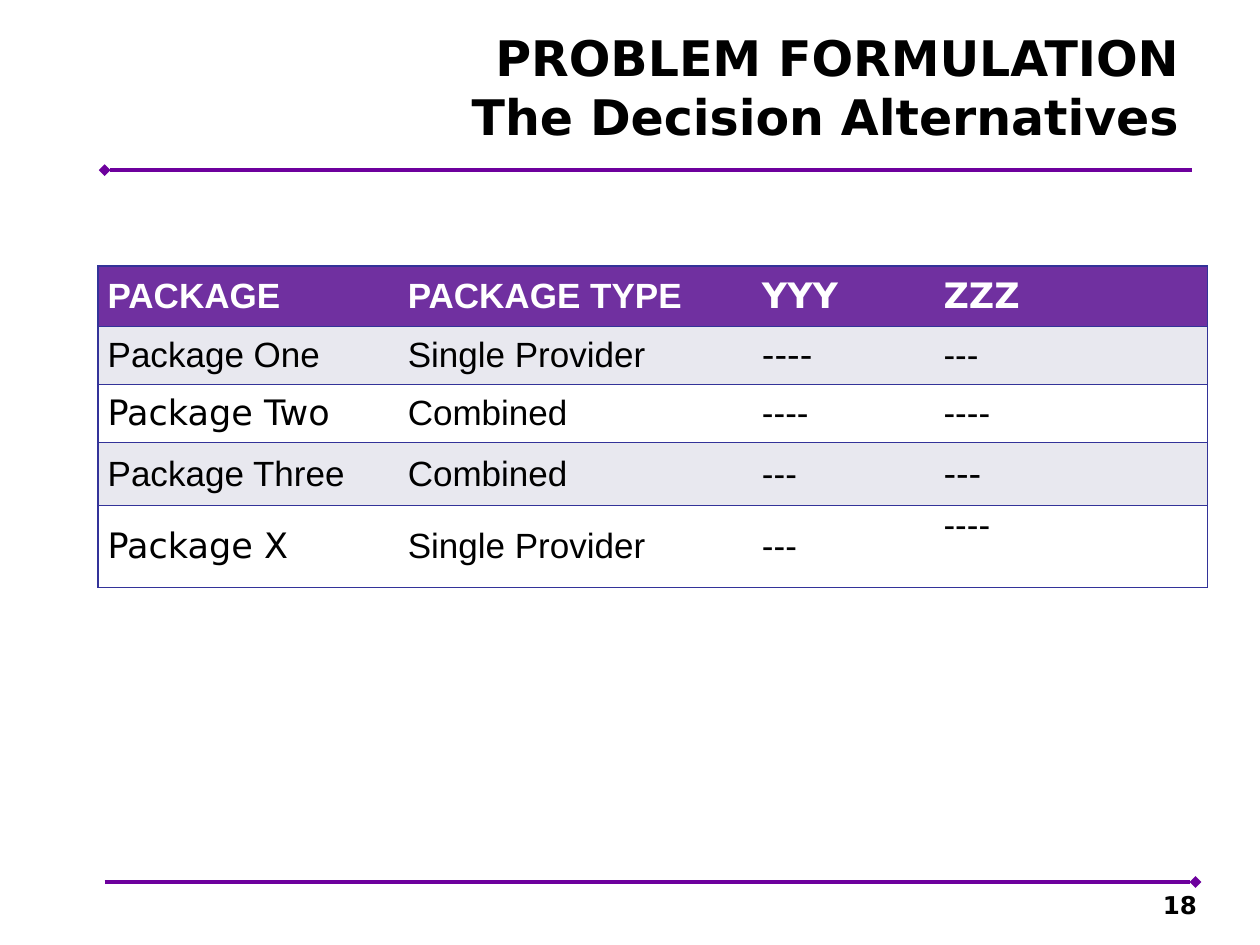
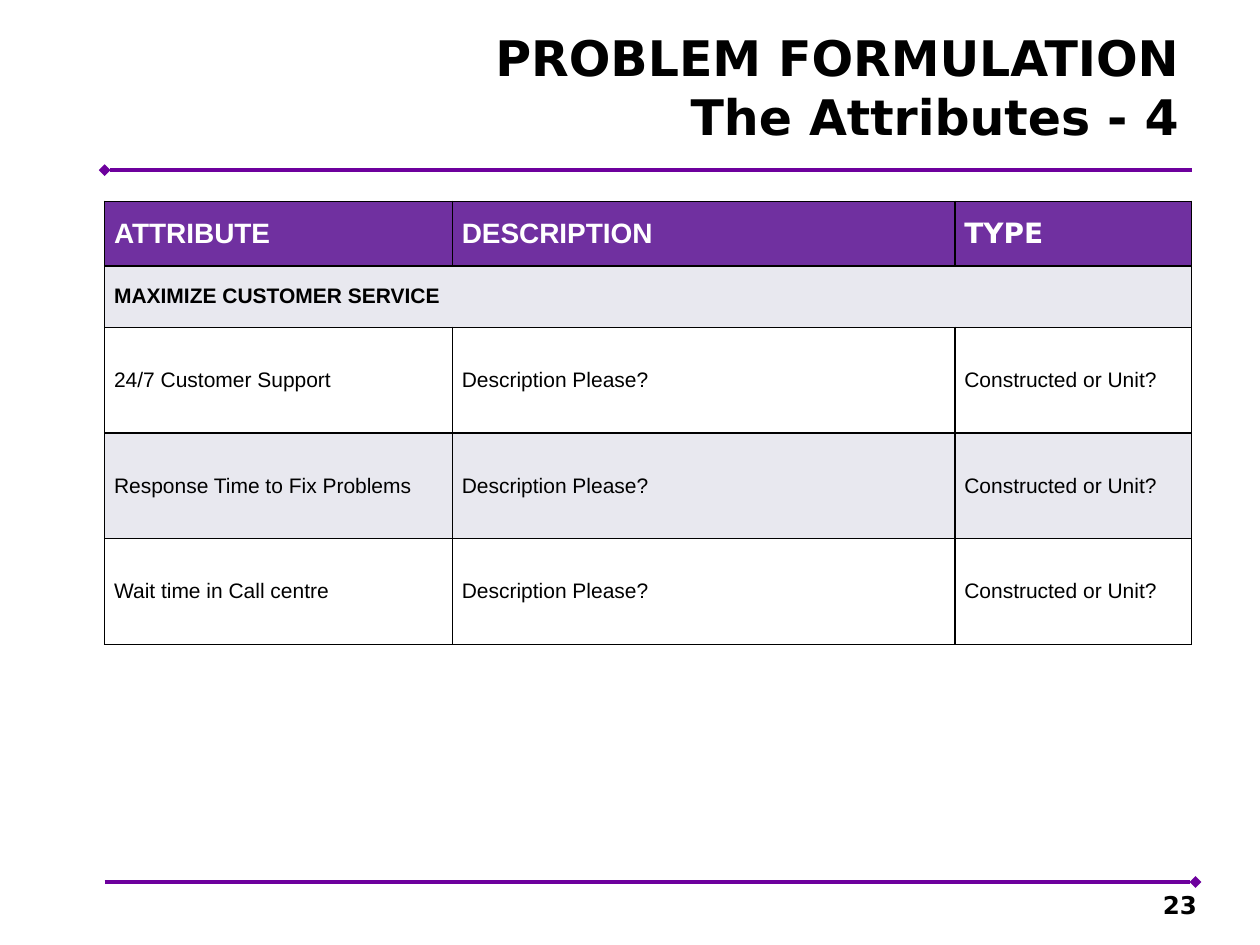
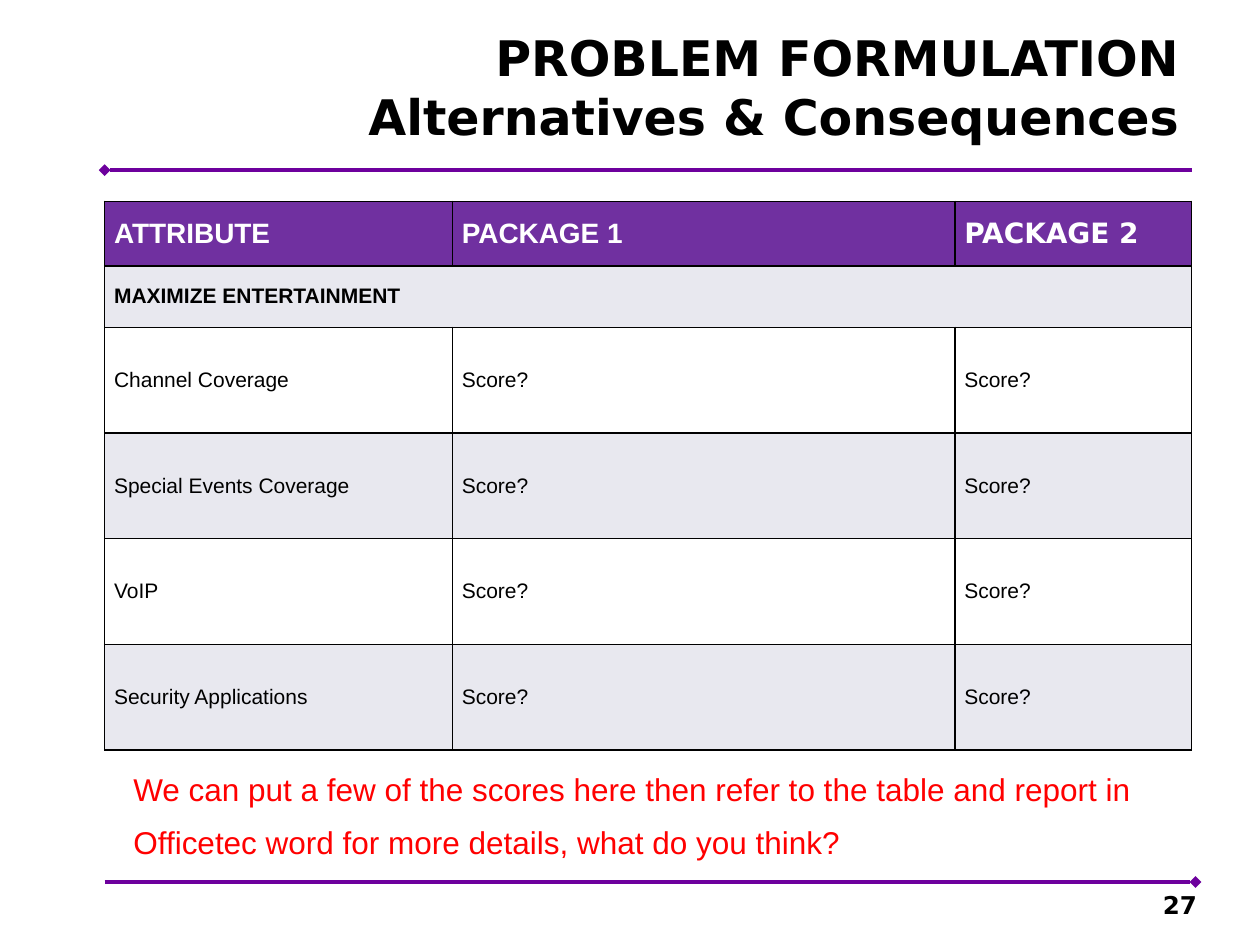
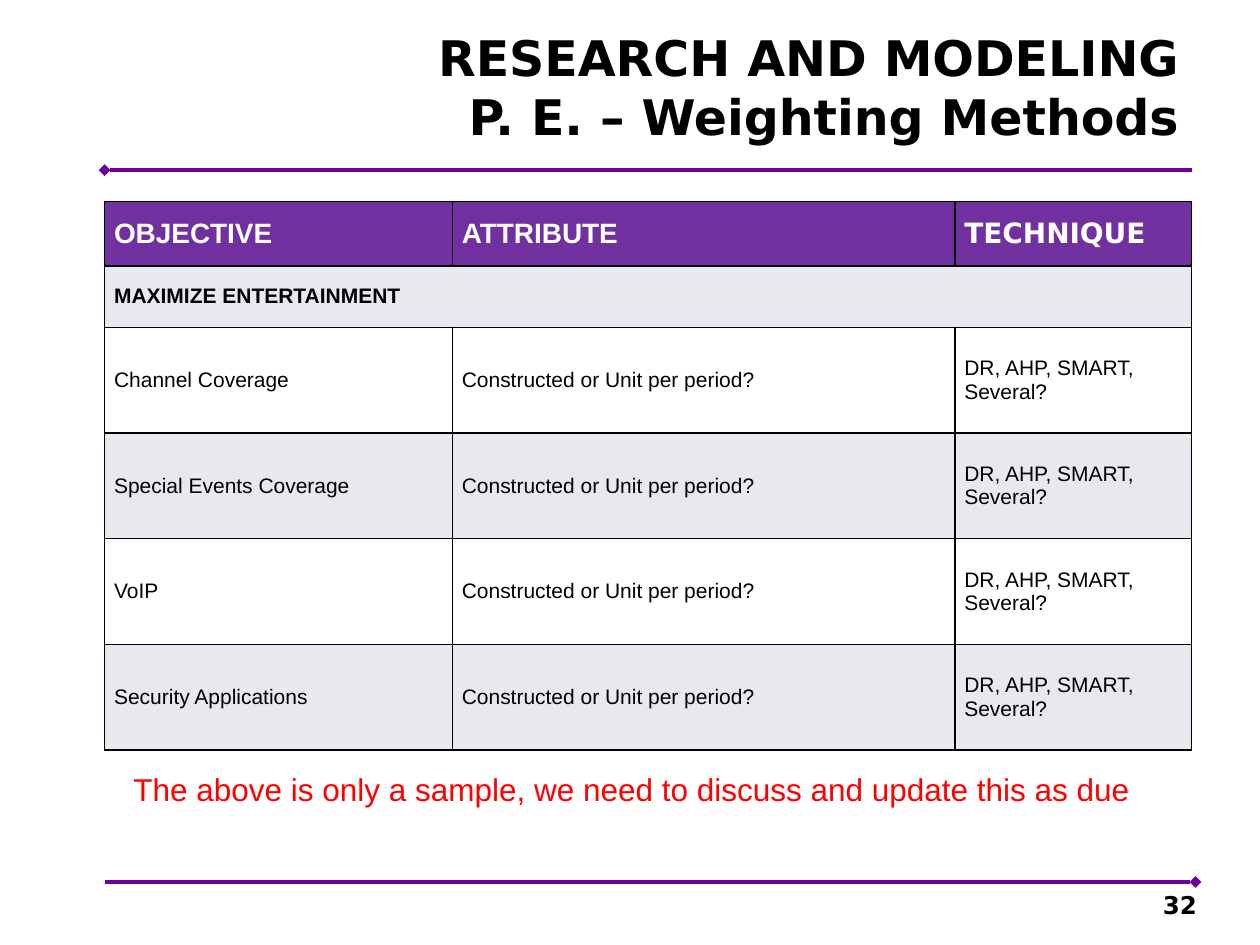
from collections import namedtuple

from lxml import etree
from pptx import Presentation
from pptx import util as u
from pptx.dml.color import RGBColor
from pptx.enum import shapes, text
from pptx.oxml import ns

BLACK = RGBColor(0x00, 0x00, 0x00)
WHITE = RGBColor(0xFF, 0xFF, 0xFF)
RED = RGBColor(0xFF, 0x00, 0x00)
NAVY = RGBColor(0x33, 0x33, 0x99)
RULE_PURPLE = RGBColor(0x6D, 0x00, 0x9D)
HEADER_PURPLE = RGBColor(0x70, 0x30, 0xA0)
BAND_GREY = RGBColor(0xE8, 0xE8, 0xEF)

SANS = "Arial"
DISPLAY = "DejaVu Sans"

# All boxes are in centimetres
Box = namedtuple("Box", "left top width height")
TITLE_BOX = Box(6.71, 0.43, 17.3, 2.79)
NUMBER_BOX = Box(18.21, 17.93, 5.92, 0.74)
TOP_RULE = Box(2.11, 3.43, 21.92, 0)
BOTTOM_RULE = Box(2.11, 17.78, 21.99, 0)
NOTE_BOX = Box(2.44, 15.39, 21.0, 1.02)

PACKAGE_COLUMNS = [6.05, 7.14, 3.66, 5.51]
PACKAGE_ROWS = [1.22, 1.17, 1.17, 1.27, 1.65]
ATTRIBUTE_COLUMNS = [7.01, 10.13, 4.77]
HEADER_HEIGHT, GROUP_HEIGHT, ITEM_HEIGHT = 1.3, 1.24, 2.13


def lengths(box):
    return [u.Cm(value) for value in box]


def add_run(paragraph, words, size, font=SANS, color=BLACK, bold=False):
    run = paragraph.add_run()
    run.text = words
    run.font.size = u.Pt(size)
    run.font.name = font
    run.font.bold = bold
    run.font.color.rgb = color


def add_text_box(slide, box, wrap=True):
    frame = slide.shapes.add_textbox(*lengths(box)).text_frame
    frame.word_wrap = wrap
    return frame


# ---- Parts shared by all slides ----
def add_rule(slide, box, diamond_end):
    left, top, width, height = lengths(box)
    rule = slide.shapes.add_connector(
        shapes.MSO_CONNECTOR.STRAIGHT, left, top, left + width, top + height)
    rule.line.color.rgb = RULE_PURPLE
    rule.line.width = u.Pt(2.25)
    etree.SubElement(rule.line._get_or_add_ln(), ns.qn(diamond_end), type="diamond")
    etree.SubElement(rule._element.spPr, ns.qn("a:effectLst"))


def add_title(slide, box, lines):
    paragraph = add_text_box(slide, box).paragraphs[0]
    paragraph.alignment = text.PP_ALIGN.RIGHT
    for index, line in enumerate(lines):
        if index:
            paragraph.add_line_break()
        add_run(paragraph, line, 28, DISPLAY, bold=True)


def add_slide_number(slide, box, number):
    frame = add_text_box(slide, box)
    frame.vertical_anchor = text.MSO_ANCHOR.BOTTOM
    frame.margin_right = 0
    paragraph = frame.paragraphs[0]
    paragraph.alignment = text.PP_ALIGN.RIGHT
    add_run(paragraph, str(number), 14, DISPLAY, bold=True)


def add_base_slide(presentation, title, number):
    slide = presentation.slides.add_slide(presentation.slide_layouts[6])
    add_rule(slide, TOP_RULE, "a:headEnd")
    add_rule(slide, BOTTOM_RULE, "a:tailEnd")
    add_title(slide, TITLE_BOX, title)
    add_slide_number(slide, NUMBER_BOX, number)
    return slide


# ---- Tables ----
def set_borders(cell, color, sides):
    properties = cell._tc.get_or_add_tcPr()
    for side in "LRTB":
        line = etree.SubElement(properties, ns.qn("a:ln" + side), w=str(u.Pt(1)))
        if side in sides:
            fill = etree.SubElement(line, ns.qn("a:solidFill"))
            etree.SubElement(fill, ns.qn("a:srgbClr"), val=str(color))
        else:
            etree.SubElement(line, ns.qn("a:noFill"))


def style_cell(cell, fill, border, sides):
    set_borders(cell, border, sides)
    cell.fill.solid()
    cell.fill.fore_color.rgb = fill
    cell.vertical_anchor = text.MSO_ANCHOR.MIDDLE
    cell.margin_left = cell.margin_right = u.Cm(0.19)
    cell.margin_top = cell.margin_bottom = 0


def add_grid(slide, left, top, columns, rows, border, inner_columns):
    """Add an empty table with a purple header and grey and white bands."""
    box = Box(left, top, sum(columns), sum(rows))
    table = slide.shapes.add_table(len(rows), len(columns), *lengths(box)).table
    table.horz_banding = False
    for column, width in zip(table.columns, columns):
        column.width = u.Cm(width)
    for r, height in enumerate(rows):
        table.rows[r].height = u.Cm(height)
        fill = HEADER_PURPLE if r == 0 else BAND_GREY if r % 2 else WHITE
        for c in range(len(columns)):
            sides = "TB"
            if inner_columns or c == 0:
                sides += "L"
            if inner_columns or c == len(columns) - 1:
                sides += "R"
            style_cell(table.cell(r, c), fill, border, sides)
    return table


def add_package_table(slide, left, top, rows, display_cells):
    table = add_grid(slide, left, top, PACKAGE_COLUMNS, PACKAGE_ROWS, NAVY, False)
    for r, row in enumerate(rows):
        for c, words in enumerate(row):
            font = DISPLAY if (r, c) in display_cells else SANS
            add_run(table.cell(r, c).text_frame.paragraphs[0], words, 20, font,
                    BLACK if r else WHITE, bold=r == 0)
    # The last value sits at the top of its tall row
    table.cell(len(rows) - 1, 3).vertical_anchor = text.MSO_ANCHOR.TOP


def add_attribute_table(slide, left, top, header, group, items, answers):
    heights = [HEADER_HEIGHT, GROUP_HEIGHT] + [ITEM_HEIGHT] * len(items)
    table = add_grid(slide, left, top, ATTRIBUTE_COLUMNS, heights, BLACK, True)
    table.cell(1, 0).merge(table.cell(1, 2))
    for c, words in enumerate(header):
        add_run(table.cell(0, c).text_frame.paragraphs[0], words, 16,
                DISPLAY if c == 2 else SANS, WHITE, bold=True)
    add_run(table.cell(1, 0).text_frame.paragraphs[0], group, 12, bold=True)
    for r, item in enumerate(items, start=2):
        for c, words in enumerate([item, *answers]):
            add_run(table.cell(r, c).text_frame.paragraphs[0], words, 12)


def add_note(slide, box, lines):
    frame = add_text_box(slide, box._replace(height=box.height * len(lines)), wrap=False)
    for index, line in enumerate(lines):
        paragraph = frame.add_paragraph() if index else frame.paragraphs[0]
        paragraph.space_before = u.Pt(9 if index else 0)
        add_run(paragraph, line, 18, color=RED)


# ---- Types of slide ----
def build_package_slide(presentation, title, number, rows, display_cells):
    slide = add_base_slide(presentation, title, number)
    add_package_table(slide, 1.98, 5.36, rows, display_cells)


def build_attribute_slide(presentation, title, number, header, group, items,
                          answers, note=()):
    slide = add_base_slide(presentation, title, number)
    add_attribute_table(slide, 2.11, 4.06, header, group, items, answers)
    if note:
        add_note(slide, NOTE_BOX, note)


FORMULATION = "PROBLEM FORMULATION"
ENTERTAINMENT = "MAXIMIZE ENTERTAINMENT"
ENTERTAINMENT_ITEMS = ["Channel Coverage", "Special Events Coverage", "VoIP",
                       "Security Applications"]

presentation = Presentation()
presentation.slide_width = u.Cm(25.4)
presentation.slide_height = u.Cm(19.05)

build_package_slide(
    presentation, [FORMULATION, "The Decision Alternatives"], 18,
    [["PACKAGE", "PACKAGE TYPE", "YYY", "ZZZ"],
     ["Package One", "Single Provider", "----", "---"],
     ["Package Two", "Combined", "----", "----"],
     ["Package Three", "Combined", "---", "---"],
     ["Package X", "Single Provider", "---", "----"]],
    display_cells={(0, 2), (0, 3), (1, 2), (2, 0), (3, 3), (4, 0)})

build_attribute_slide(
    presentation, [FORMULATION, "The Attributes - 4"], 23,
    ["ATTRIBUTE", "DESCRIPTION", "TYPE"], "MAXIMIZE CUSTOMER SERVICE",
    ["24/7 Customer Support", "Response Time to Fix Problems",
     "Wait time in Call centre"],
    ["Description Please?", "Constructed or Unit?"])

build_attribute_slide(
    presentation, [FORMULATION, "Alternatives & Consequences"], 27,
    ["ATTRIBUTE", "PACKAGE 1", "PACKAGE 2"], ENTERTAINMENT, ENTERTAINMENT_ITEMS,
    ["Score?", "Score?"],
    ["We can put a few of the scores here then refer to the table and report in",
     "Officetec word for more details, what do you think?"])

build_attribute_slide(
    presentation, ["RESEARCH AND MODELING", "P. E. – Weighting Methods"], 32,
    ["OBJECTIVE", "ATTRIBUTE", "TECHNIQUE"], ENTERTAINMENT, ENTERTAINMENT_ITEMS,
    ["Constructed or Unit per period?", "DR, AHP, SMART, Several?"],
    ["The above is only a sample, we need to discuss and update this as due"])

presentation.save("out.pptx")
